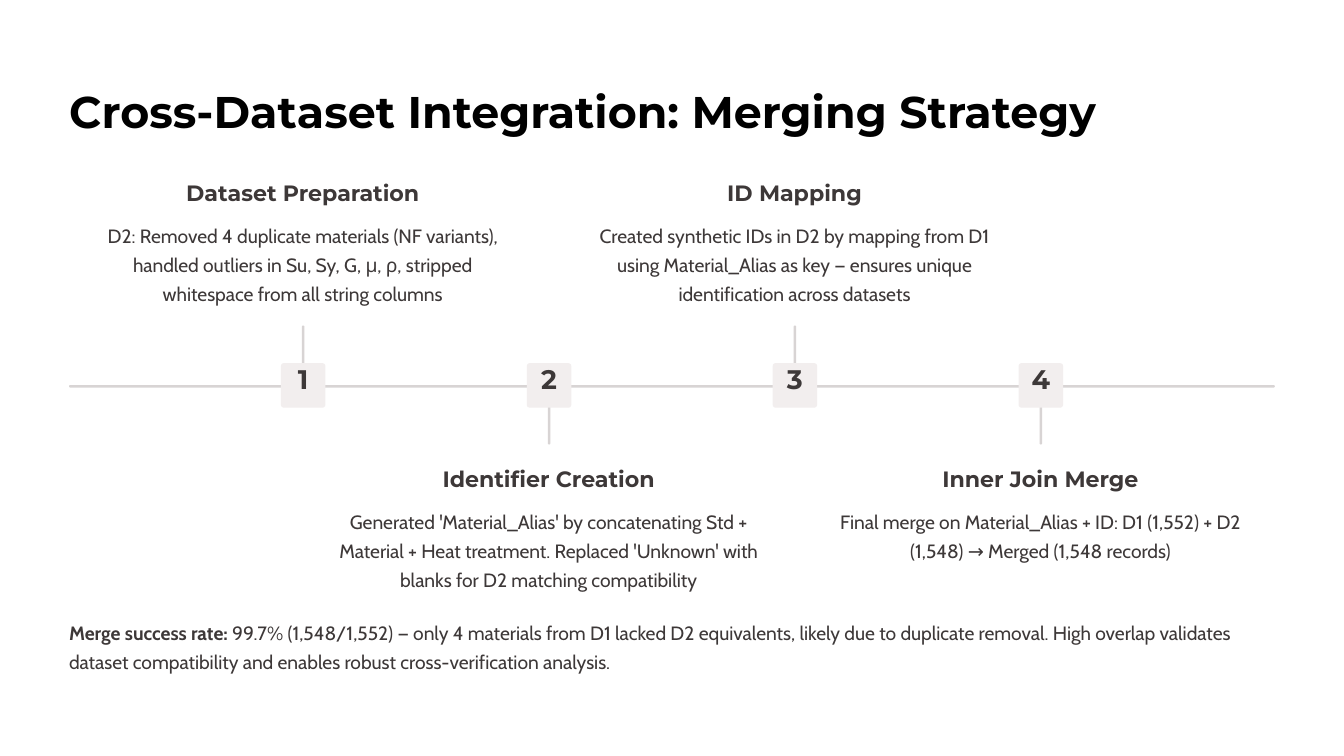
from dataclasses import dataclass

from pptx import Presentation
from pptx.dml.color import RGBColor
from pptx.enum.shapes import MSO_SHAPE
from pptx.enum.text import MSO_ANCHOR, MSO_AUTO_SIZE, PP_ALIGN
from pptx.shapes.autoshape import Shape
from pptx.slide import Slide
from pptx.text.text import TextFrame
from pptx.util import Emu, Pt

BLACK = RGBColor(0x00, 0x00, 0x00)
WHITE = RGBColor(0xFF, 0xFF, 0xFF)
INK = RGBColor(0x3D, 0x38, 0x38)
LINE = RGBColor(0xD8, 0xD4, 0xD4)
TILE = RGBColor(0xF2, 0xEE, 0xEE)

# Layout in px, 96 to the inch
EMU_PER_PX = 9525
MARGIN, CONTENT_WIDTH = 79, 1378
AXIS_TOP, AXIS_THICKNESS = 440, 3
FIRST_CENTER, STEP_PITCH = 346, 281
STEM_LENGTH = 68
TILE_TOP, TILE_SIZE, TILE_INSET = 415, 51, 5
TEXT_WIDTH, HEADING_HEIGHT, BODY_OFFSET, BODY_HEIGHT = 490, 32, 46, 102
UPPER_TEXT_TOP, LOWER_TEXT_TOP = 203, 530


@dataclass(frozen=True)
class TextStyle:
    font: str
    size: float
    line: float
    color: RGBColor = INK
    bold: bool = False
    align: PP_ALIGN = PP_ALIGN.CENTER


@dataclass(frozen=True)
class Step:
    heading: str
    body: str


TITLE = TextStyle("Montserrat", 38, 48, BLACK, True, PP_ALIGN.LEFT)
NUMBER = TextStyle("Montserrat", 23, 23, bold=True)
HEADING = TextStyle("Montserrat", 19, 24, bold=True)
BODY = TextStyle("Cabin", 16.5, 25)
SUMMARY = TextStyle("Cabin", 16.5, 25, align=PP_ALIGN.LEFT)

STEPS = [
    Step("Dataset Preparation",
         "D2: Removed 4 duplicate materials (NF variants), handled outliers in "
         "Su, Sy, G, μ, ρ, stripped whitespace from all string columns"),
    Step("Identifier Creation",
         "Generated 'Material_Alias' by concatenating Std + Material + Heat treatment. "
         "Replaced 'Unknown' with blanks for D2 matching compatibility"),
    Step("ID Mapping",
         "Created synthetic IDs in D2 by mapping from D1 using Material_Alias as key "
         "— ensures unique identification across datasets"),
    Step("Inner Join Merge",
         "Final merge on Material_Alias + ID: D1 (1,552) + D2 (1,548) "
         "→ Merged (1,548 records)"),
]
SUMMARY_LABEL = "Merge success rate:"
SUMMARY_TEXT = (
    " 99.7% (1,548/1,552) — only 4 materials from D1 lacked D2 equivalents, likely due to "
    "duplicate removal. High overlap validates dataset compatibility and enables robust "
    "cross-verification analysis."
)


def px(length: int) -> Emu:
    return Emu(length * EMU_PER_PX)


def write(frame: TextFrame, text: str, style: TextStyle, top_inset: int = 0) -> None:
    frame.word_wrap = True
    frame.auto_size = MSO_AUTO_SIZE.NONE
    frame.vertical_anchor = MSO_ANCHOR.TOP
    frame.margin_left = frame.margin_right = frame.margin_bottom = 0
    frame.margin_top = px(top_inset)
    para = frame.paragraphs[0]
    para.text = text
    para.alignment = style.align
    para.line_spacing = Pt(style.line)
    para.font.name = style.font
    para.font.size = Pt(style.size)
    para.font.bold = style.bold
    para.font.color.rgb = style.color


def add_text(page: Slide, left: int, top: int, width: int, height: int,
             text: str, style: TextStyle) -> Shape:
    box = page.shapes.add_textbox(px(left), px(top), px(width), px(height))
    write(box.text_frame, text, style)
    return box


def add_block(page: Slide, left: int, top: int, width: int, height: int,
              color: RGBColor, rounding: float) -> Shape:
    block = page.shapes.add_shape(MSO_SHAPE.ROUNDED_RECTANGLE,
                                  px(left), px(top), px(width), px(height))
    block.adjustments[0] = rounding
    block.fill.solid()
    block.fill.fore_color.rgb = color
    block.line.fill.background()
    block.shadow.inherit = False
    return block


def add_step(page: Slide, index: int, step: Step) -> None:
    center = FIRST_CENTER + index * STEP_PITCH
    above = index % 2 == 0

    # Stem and numbered tile
    stem_top = AXIS_TOP - STEM_LENGTH if above else AXIS_TOP
    add_block(page, center - AXIS_THICKNESS // 2, stem_top,
              AXIS_THICKNESS, STEM_LENGTH, LINE, 0.5)
    tile = add_block(page, center - TILE_SIZE // 2, TILE_TOP,
                     TILE_SIZE, TILE_SIZE, TILE, 0.07)
    write(tile.text_frame, str(index + 1), NUMBER, TILE_INSET)

    # Heading and description
    left = center - TEXT_WIDTH // 2
    top = UPPER_TEXT_TOP if above else LOWER_TEXT_TOP
    add_text(page, left, top, TEXT_WIDTH, HEADING_HEIGHT, step.heading, HEADING)
    add_text(page, left, top + BODY_OFFSET, TEXT_WIDTH, BODY_HEIGHT, step.body, BODY)


def main() -> None:
    deck = Presentation()
    deck.slide_width, deck.slide_height = px(1536), px(864)
    page = deck.slides.add_slide(deck.slide_layouts[5])
    page.background.fill.solid()
    page.background.fill.fore_color.rgb = WHITE

    # Title
    title = page.shapes.title
    title.left, title.top = px(MARGIN), px(93)
    title.width, title.height = px(CONTENT_WIDTH), px(64)
    write(title.text_frame, "Cross-Dataset Integration: Merging Strategy", TITLE)

    # Timeline
    add_block(page, MARGIN, AXIS_TOP, CONTENT_WIDTH, AXIS_THICKNESS, LINE, 0.5)
    for index, step in enumerate(STEPS):
        add_step(page, index, step)

    # Summary
    summary = add_text(page, MARGIN, 703, CONTENT_WIDTH, 68, SUMMARY_LABEL, SUMMARY)
    para = summary.text_frame.paragraphs[0]
    para.runs[0].font.bold = True
    span = para.add_run()
    span.text = SUMMARY_TEXT

    deck.save("out.pptx")


if __name__ == "__main__":
    main()
